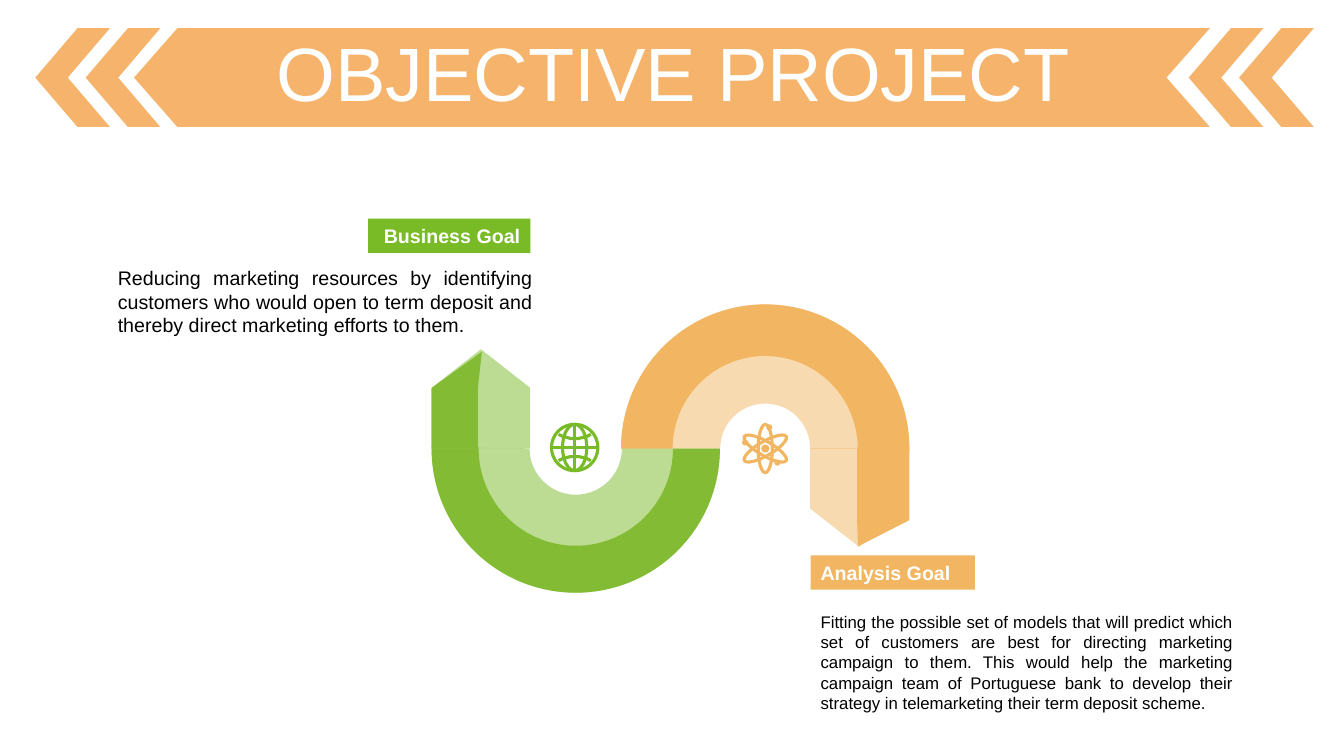
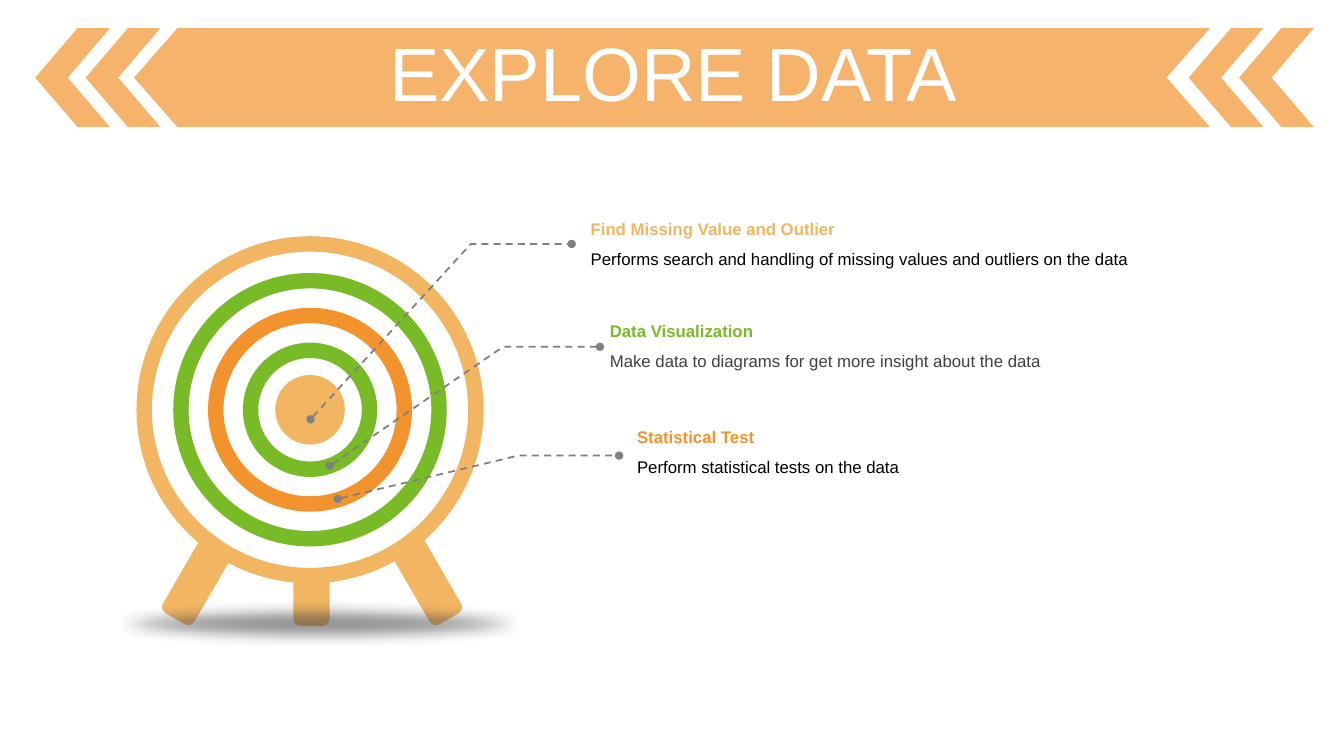
"""Build two project slides: the goals ribbon and the data target."""
from lxml import etree
from pptx import Presentation
from pptx.dml.color import RGBColor
from pptx.enum.dml import MSO_LINE
from pptx.enum.shapes import MSO_CONNECTOR, MSO_SHAPE
from pptx.enum.text import MSO_ANCHOR, MSO_AUTO_SIZE, PP_ALIGN
from pptx.oxml.ns import qn
from pptx.util import Emu, Pt

PX = 9144
FONT = "Arial"
C = {"orange": "F3932D", "sand": "F2B662", "green": "79BA27", "lime": "8EC043",
     "white": "FFFFFF", "black": "000000", "dark": "404040", "gray": "808080"}
CHEVRON, ARC, PLATE = MSO_SHAPE.CHEVRON, MSO_SHAPE.BLOCK_ARC, MSO_SHAPE.PENTAGON
RECT, ROUND, OVAL = MSO_SHAPE.RECTANGLE, MSO_SHAPE.ROUNDED_RECTANGLE, MSO_SHAPE.OVAL
LEFT, CENTER, RIGHT, JUSTIFY = (PP_ALIGN.LEFT, PP_ALIGN.CENTER,
                                PP_ALIGN.RIGHT, PP_ALIGN.JUSTIFY)


def style(sp, fill=None, alpha=100, line=None, width=1):
    """Set fill, transparency and outline, and drop the shadow."""
    sp.shadow.inherit = False
    if fill:
        sp.fill.solid()
        sp.fill.fore_color.rgb = RGBColor.from_string(C[fill])
    else:
        sp.fill.background()
    if alpha < 100:
        clr = sp.element.xpath("./p:spPr/a:solidFill/a:srgbClr")[0]
        etree.SubElement(clr, qn("a:alpha")).set("val", str(alpha * 1000))
    if line:
        sp.line.color.rgb = RGBColor.from_string(C[line])
        sp.line.width = Pt(width)
    else:
        sp.line.fill.background()


def write(sp, text, size, color, align=LEFT, bold=False):
    """Put one formatted paragraph into a shape and return it."""
    tf = sp.text_frame
    tf.word_wrap = True
    tf.auto_size = MSO_AUTO_SIZE.NONE
    p = tf.paragraphs[0]
    p.text = text
    p.alignment = align
    r = p.runs[0]
    r.font.name, r.font.size, r.font.bold = FONT, Pt(size), bold
    r.font.color.rgb = RGBColor.from_string(C[color])
    return p


prs = Presentation()
prs.slide_width, prs.slide_height = Emu(1333 * PX), Emu(750 * PX)
layout = prs.slide_layouts[5]
title = layout.placeholders[0]
title.left, title.top, title.width, title.height = [Emu(v * PX) for v in (35, 37, 1266, 79)]

goals, explore = [prs.slides.add_slide(layout) for _ in range(2)]

band = []
for x in (35, 85, 1179, 1229):
    sp = goals.shapes.add_shape(CHEVRON, x * PX, 28 * PX, 74 * PX, 98 * PX)
    sp.adjustments[0] = 0.565
    sp.rotation = 180
    band.append(sp)
fb = goals.shapes.build_freeform(176, 28, PX)
fb.add_line_segments([(1200, 28), (1157, 77), (1200, 126), (176, 126), (133, 77)])
band.append(fb.convert_to_shape())
for i, sp in enumerate(band):
    style(sp, "orange", 70)
    sp.name = f"Band {i + 1}"
    sp.element.xpath("./p:nvSpPr/p:cNvPr")[0].set("id", str(20 + i))
    layout.shapes.element.append(sp.element)

for s, text in ((goals, "OBJECTIVE PROJECT"), (explore, "EXPLORE DATA")):
    p = write(s.shapes.title, text, 54, "white", CENTER)
    p.line_spacing = 0.9
    p.space_before = Pt(10)
    s.shapes.title.text_frame.vertical_anchor = MSO_ANCHOR.MIDDLE

shapes = goals.shapes
for x, rot, end, depth, color, alpha in (
        (616, 0, 0, 0.344, "sand", 50),
        (616, 0, 0.651, 0.179, "sand", 100),
        (428, 180, 0.431, 0.163, "lime", 100),
        (428, 180, 0.222, 0.34, "green", 50)):
    sp = shapes.add_shape(ARC, x * PX, 302 * PX, 286 * PX, 286 * PX)
    for i, adj in enumerate((108, end, depth)):
        sp.adjustments[i] = adj
    sp.rotation = rot
    style(sp, color, alpha)

for color, points in (
        ("sand", [(902, 444), (902, 516), (851, 542), (850, 516), (850, 444)]),
        ("lime", [(428, 445), (428, 385), (478, 349), (474, 385), (474, 445)])):
    fb = shapes.build_freeform(*points[0], PX)
    fb.add_line_segments(points[1:])
    style(fb.convert_to_shape(), color)

for x, y, rot, color in ((803, 445, 90, "sand"), (428, 347, 270, "green")):
    sp = shapes.add_shape(PLATE, x * PX, y * PX, 98 * PX, 97 * PX)
    sp.adjustments[0] = 0.391
    sp.rotation = rot
    style(sp, color, 50)

for text, x, y, w, color, align in (
        ("Business Goal", 365, 217, 161, "green", RIGHT),
        ("Analysis Goal", 804, 551, 163, "sand", LEFT)):
    sp = shapes.add_shape(RECT, x * PX, y * PX, w * PX, 34 * PX)
    style(sp, color)
    write(sp, text, 14, "white", align, True)

for text, x, y, w, h, size in (
        ("Reducing marketing resources by identifying customers who would open to term "
         "deposit and thereby direct marketing efforts to them.", 107, 259, 431, 81, 14),
        ("Fitting the possible set of models that will predict which set of customers are "
         "best for directing marketing campaign to them. This would help the marketing "
         "campaign team of Portuguese bank to develop their strategy in telemarketing "
         "their term deposit scheme.", 804, 602, 429, 111, 12)):
    write(shapes.add_textbox(x * PX, y * PX, w * PX, h * PX), text, size, "black", JUSTIFY)

gx, gy = 570, 444
for rx, ry in ((23, 23), (12, 23)):
    sp = shapes.add_shape(OVAL, (gx - rx) * PX, (gy - ry) * PX, 2 * rx * PX, 2 * ry * PX)
    style(sp, line="green", width=2.25)
for dx, dy in ((23, 0), (0, 23)):
    sp = shapes.add_connector(MSO_CONNECTOR.STRAIGHT, (gx - dx) * PX, (gy - dy) * PX,
                              (gx + dx) * PX, (gy + dy) * PX)
    sp.line.color.rgb = RGBColor.from_string(C["green"])
    sp.line.width = Pt(2.25)
    etree.SubElement(sp.element.spPr, qn("a:effectLst"))
for side in (-1, 1):
    points = [(gx + dx, gy + side * (9 + dx * dx / 64)) for dx in range(-16, 17, 4)]
    fb = shapes.build_freeform(*points[0], PX)
    fb.add_line_segments(points[1:], close=False)
    style(fb.convert_to_shape(), line="green", width=2.25)

ax, ay = 759, 445
for rot in (0, 60, 120):
    sp = shapes.add_shape(OVAL, (ax - 7) * PX, (ay - 24) * PX, 14 * PX, 48 * PX)
    sp.rotation = rot
    style(sp, line="sand", width=2.25)
for x, y, r in ((ax, ay, 4), (763, 424, 3), (739, 439, 3), (771, 459, 3)):
    sp = shapes.add_shape(OVAL, (x - r) * PX, (y - r) * PX, 2 * r * PX, 2 * r * PX)
    style(sp, "sand")

shapes = explore.shapes
for x, y, rot in ((291, 396, 0), (371, 404, 330), (212, 404, 30)):
    sp = shapes.add_shape(ROUND, x * PX, y * PX, 36 * PX, 225 * PX)
    sp.adjustments[0] = 0.194
    sp.rotation = rot
    style(sp, "sand")

for d, fill, line in ((329, "white", "sand"), (256, "white", "green"),
                      (187, "white", "orange"), (118, "white", "green"),
                      (69, "sand", None)):
    sp = shapes.add_shape(OVAL, (615 - d) * PX // 2, (813 - d) * PX // 2, d * PX, d * PX)
    style(sp, fill, line=line, width=11)

sp = shapes.add_shape(OVAL, 66 * PX, 594 * PX, 501 * PX, 49 * PX)
style(sp, "dark", 58)
effects = sp.element.spPr.find(qn("a:effectLst"))
etree.SubElement(effects, qn("a:softEdge")).set("rad", "127000")

for head, detail, x, y, color, ink, points in (
        ("Find Missing Value and Outlier",
         "Performs search and handling of missing values and outliers on the data",
         576, 212, "sand", "black", [(308, 416), (467, 242), (567, 242)]),
        ("Data Visualization",
         "Make data to diagrams for get more insight about the data",
         595, 313, "green", "dark", [(327, 462), (499, 344), (595, 344)]),
        ("Statistical Test", "Perform statistical tests on the data",
         622, 418, "orange", "black", [(335, 495), (514, 452), (614, 452)])):
    sp = shapes.add_textbox(x * PX, y * PX, 616 * PX, 30 * PX)
    write(sp, head, 12, color, bold=True)
    sp = shapes.add_textbox(x * PX, (y + 30) * PX, 616 * PX, 30 * PX)
    write(sp, detail, 12, ink)
    fb = shapes.build_freeform(*points[0], PX)
    fb.add_line_segments(points[1:], close=False)
    sp = fb.convert_to_shape()
    style(sp, line="gray", width=1.25)
    sp.line.dash_style = MSO_LINE.DASH
    ln = sp.element.xpath("./p:spPr/a:ln")[0]
    for tag in ("a:headEnd", "a:tailEnd"):
        etree.SubElement(ln, qn(tag)).set("type", "oval")

prs.save("out.pptx")
